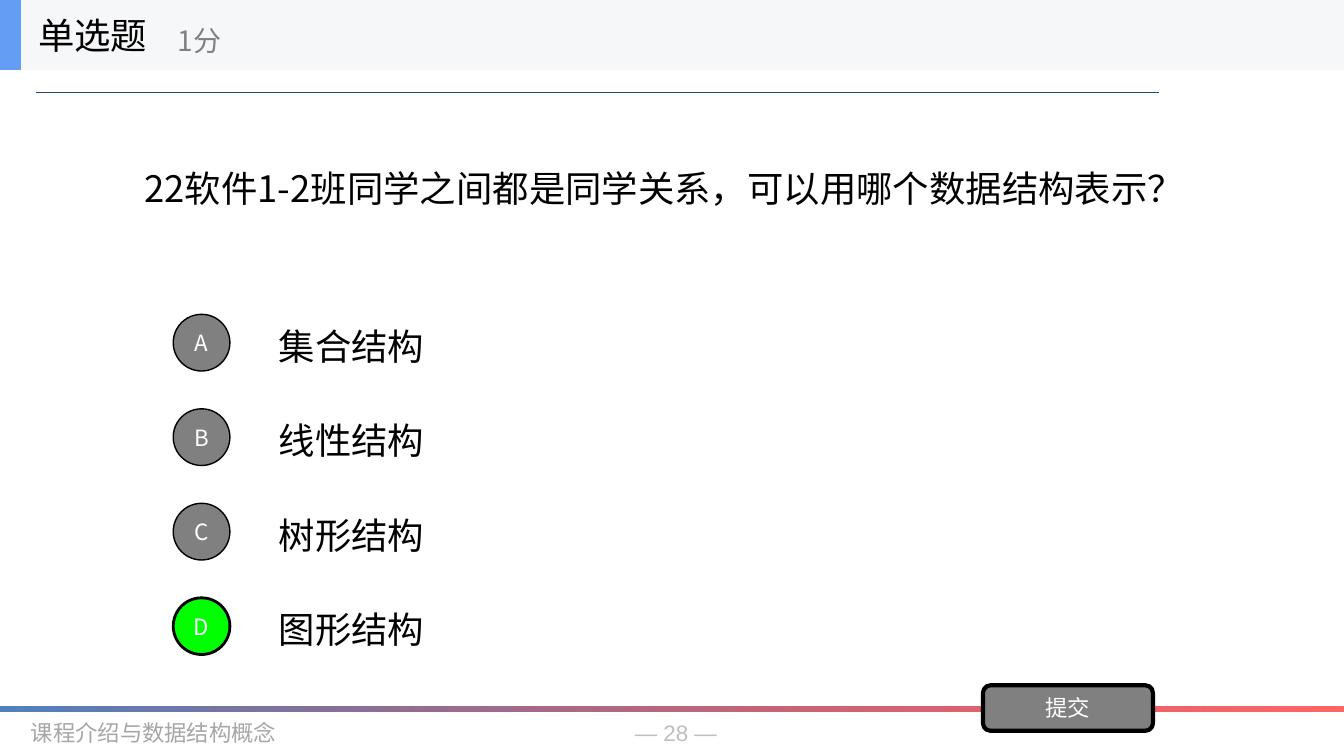
from dataclasses import dataclass
from lxml import etree
from pptx import Presentation
from pptx.dml.color import RGBColor
from pptx.enum.shapes import MSO_CONNECTOR, MSO_SHAPE
from pptx.enum.text import MSO_ANCHOR, MSO_AUTO_SIZE, PP_ALIGN
from pptx.oxml.ns import qn
from pptx.util import Pt

LEFT, CENTER = PP_ALIGN.LEFT, PP_ALIGN.CENTER
TOP, MIDDLE = MSO_ANCHOR.TOP, MSO_ANCHOR.MIDDLE
RECTANGLE, OVAL = MSO_SHAPE.RECTANGLE, MSO_SHAPE.OVAL
ROUNDED = MSO_SHAPE.ROUNDED_RECTANGLE
STRAIGHT = MSO_CONNECTOR.STRAIGHT
NO_AUTOSIZE = MSO_AUTO_SIZE.NONE


@dataclass(frozen=True)
class Theme:
    font: str = "Noto Sans CJK SC"
    number_font: str = "Arial"
    footer_font: str = "Courier New"
    large: int = 26
    medium: int = 20
    small: int = 16
    black: str = "000000"
    white: str = "FFFFFF"
    gray: str = "808080"
    correct: str = "00FF00"
    header: str = "F6F7F8"
    accent: str = "639EF4"
    rule: str = "1F497D"
    footer: str = "A6A6A6"
    number: str = "BFBFBF"
    band_start: str = "4F81BD"
    band_end: str = "FF0000"


class QuizPage:
    def __init__(self, page, theme):
        self.page = page
        self.theme = theme

    def fill_text(self, box, lines, size, color, font=None, align=LEFT,
                  anchor=MIDDLE, wrap=True, inset=(7.2, 3.6), pitch=None):
        frame = box.text_frame
        side, edge = map(Pt, inset)
        frame_format = {
            "auto_size": NO_AUTOSIZE, "word_wrap": wrap, "vertical_anchor": anchor,
            "margin_left": side, "margin_right": side,
            "margin_top": edge, "margin_bottom": edge,
        }
        for name, value in frame_format.items():
            setattr(frame, name, value)
        for index, line in enumerate(lines):
            para = frame.add_paragraph() if index else frame.paragraphs[0]
            properties = para._p.get_or_add_pPr()
            properties.set("marL", "0")
            properties.set("indent", "0")
            etree.SubElement(properties, qn("a:buNone"))
            para_format = {"alignment": align, "space_before": Pt(0)}
            if pitch:
                para_format["line_spacing"] = Pt(pitch)
            for name, value in para_format.items():
                setattr(para, name, value)
            span = para.add_run()
            span.text = line
            typeface = font or self.theme.font
            for name, value in {"name": typeface, "size": Pt(size)}.items():
                setattr(span.font, name, value)
            span.font.color.rgb = RGBColor.from_string(color)
            east_asian = etree.SubElement(span._r.get_or_add_rPr(), qn("a:ea"))
            east_asian.set("typeface", typeface)

    def text(self, bounds, line, size, color, **style):
        box = self.page.shapes.add_textbox(*map(Pt, bounds))
        self.fill_text(box, [line], size, color, **style)

    def placeholder(self, index, bounds, lines, size, color, **style):
        box = self.page.placeholders[index]
        for name, value in zip(("left", "top", "width", "height"), bounds):
            setattr(box, name, Pt(value))
        self.page.shapes._spTree.append(box._element)
        self.fill_text(box, lines, size, color, **style)

    def shape(self, kind, bounds, fill, line_width=0, label=None):
        shape = self.page.shapes.add_shape(kind, *map(Pt, bounds))
        shape.shadow.inherit = False
        shape.fill.solid()
        shape.fill.fore_color.rgb = RGBColor.from_string(fill)
        if line_width:
            shape.line.color.rgb = RGBColor.from_string(self.theme.black)
            shape.line.width = Pt(line_width)
        else:
            shape.line.fill.background()
        if label:
            self.fill_text(shape, [label], self.theme.small, self.theme.white,
                           align=CENTER, wrap=False, inset=(0, 0))
        return shape

    def gradient_band(self, bounds, start, end, end_alpha):
        fill = self.shape(RECTANGLE, bounds, start).fill
        fill.gradient()
        fill.gradient_angle = 0
        for stop, color, position in zip(fill.gradient_stops, (start, end), (0, 1)):
            stop.color.rgb = RGBColor.from_string(color)
            stop.position = position
        alpha = etree.SubElement(stop._gs.find(qn("a:srgbClr")), qn("a:alpha"))
        alpha.set("val", str(end_alpha * 1000))

    def rule(self, left, right, top, color):
        line = self.page.shapes.add_connector(
            STRAIGHT, Pt(left), Pt(top), Pt(right), Pt(top))
        line.line.color.rgb = RGBColor.from_string(color)
        line.line.width = Pt(1)
        etree.SubElement(line._element.spPr, qn("a:effectLst"))


def main():
    theme = Theme()
    deck = Presentation()
    deck.slide_width, deck.slide_height = Pt(960.5), Pt(540)
    quiz = QuizPage(deck.slides.add_slide(deck.slide_layouts[1]), theme)

    quiz.text((440.5, 510, 85, 26.5), "— 28 —", theme.small, theme.number,
              font=theme.number_font, align=CENTER, wrap=False)
    quiz.text((15, 510, 210, 26.5), "课程介绍与数据结构概念", theme.small,
              theme.footer, font=theme.footer_font)
    quiz.rule(26, 828, 66.2, theme.rule)
    quiz.gradient_band((0, 504.7, 960.5, 3.8), theme.band_start, theme.band_end, 60)

    quiz.text((96, 50, 768, 168.5),
              "22软件1-2班同学之间都是同学关系，可以用哪个数据结构表示？",
              theme.large, theme.black)
    options = {"A": "集合结构", "B": "线性结构", "C": "树形结构", "D": "图形结构"}
    answer, pitch, first_top = "D", 67.5, 224.5
    quiz.placeholder(1, (192, 195.2, 672, 4 * pitch), options.values(), theme.large,
                     theme.black, anchor=TOP, inset=(7.2, 0), pitch=pitch)
    for row, letter in enumerate(options):
        chosen = letter == answer
        quiz.shape(OVAL, (123.8, first_top + row * pitch, 40.5, 40.5),
                   theme.correct if chosen else theme.gray,
                   2 if chosen else 1, letter)
    quiz.shape(ROUNDED, (702.5, 489.5, 121.5, 32.5), theme.gray, 3, "提交")

    quiz.shape(RECTANGLE, (0, 0, 960.5, 50), theme.header)
    quiz.shape(RECTANGLE, (0, 0, 15, 50), theme.accent)
    quiz.placeholder(0, (20, 0, 150, 50), ["单选题"], theme.large, theme.black,
                     wrap=False)
    quiz.text((120, 8.5, 180, 40.5), "1分", theme.medium, theme.gray, wrap=False)
    deck.save("out.pptx")


if __name__ == "__main__":
    main()
